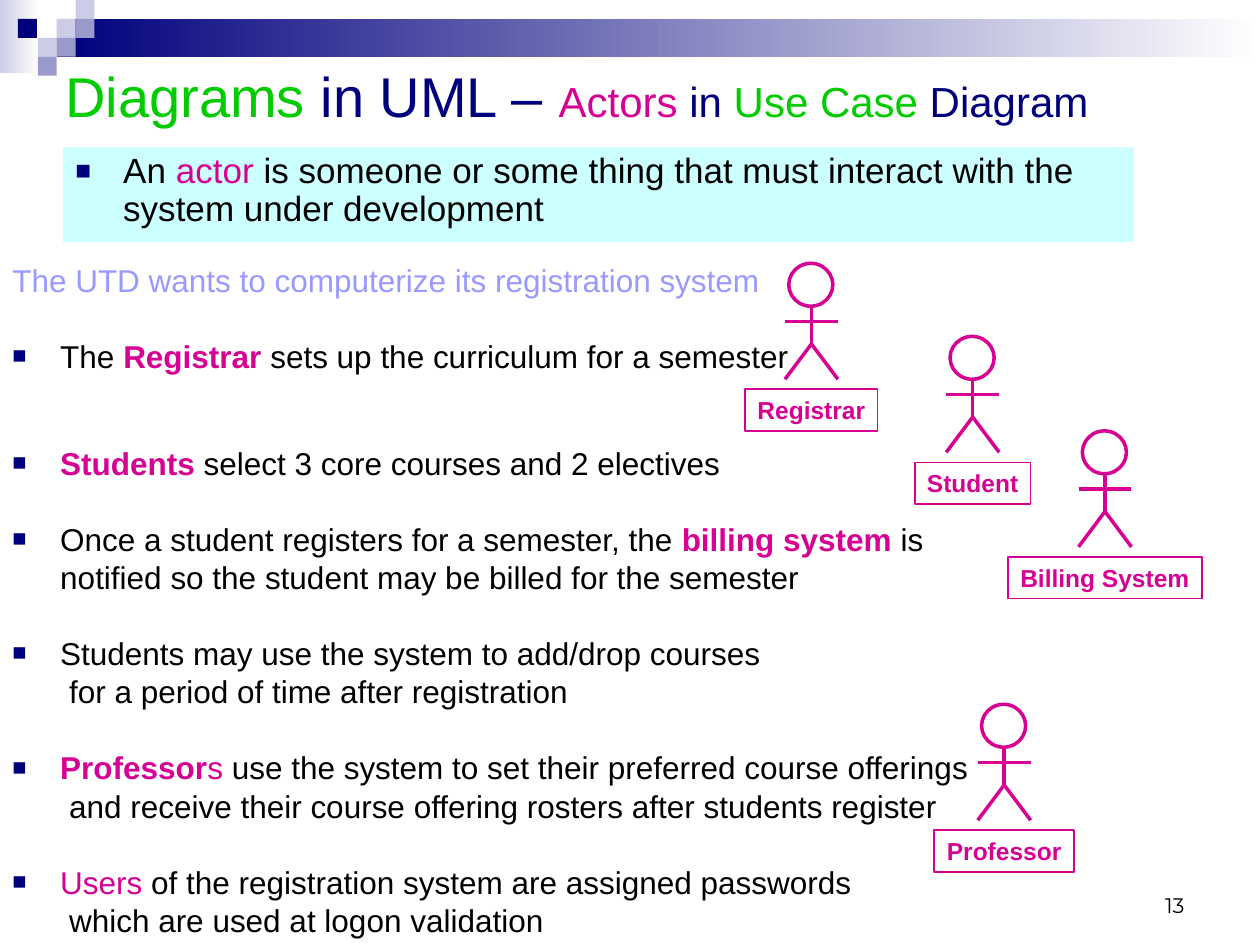
from lxml.etree import SubElement
from pptx import Presentation
from pptx.dml.color import RGBColor
from pptx.enum.shapes import MSO_CONNECTOR as Connector, MSO_SHAPE as Shape
from pptx.enum.text import MSO_ANCHOR as Anchor, PP_ALIGN as Align
from pptx.oxml.ns import qn
from pptx.util import Inches, Pt

COLORS = {
    "navy": "00007D", "lavender": "CCCCE6", "slate": "9999CC",
    "white": "FFFFFF", "black": "000000", "green": "00CC00",
    "magenta": "D60093", "cyan": "CCFFFF", "violet": "9999FF",
}
STRONG = {"color": "magenta", "bold": True}
PINK = {"color": "magenta"}
GREEN = {"color": "green"}
NAVY = {"color": "navy"}
TILE = 0.15
HANG, SPACED_HANG = 0.38, 0.45
LINE_GAP, BLOCK_GAP, WIDE_GAP = 4.5, 26.25, 43.5

STORY = [
    (0, 0, False, [("The UTD wants to computerize its registration system", {"color": "violet"})]),
    (BLOCK_GAP, HANG, True, [("The ", {}), ("Registrar", STRONG),
                             (" sets up the curriculum for a semester", {})]),
    (WIDE_GAP, HANG, True, [("Students", STRONG), (" select 3 core courses and 2 electives", {})]),
    (BLOCK_GAP, HANG, True, [("Once a student registers for a semester, the ", {}),
                             ("billing system", STRONG), (" is", {})]),
    (LINE_GAP, HANG, False, [("notified so the student may be billed for the semester", {})]),
    (BLOCK_GAP, HANG, True, [("Students may use the system to add/drop courses", {})]),
    (LINE_GAP, SPACED_HANG, False, [("for a period of time after registration", {})]),
    (BLOCK_GAP, HANG, True, [("Professor", STRONG), ("s", PINK),
                             (" use the system to set their preferred course offerings", {})]),
    (LINE_GAP, SPACED_HANG, False,
     [("and receive their course offering rosters after students register", {})]),
    (BLOCK_GAP, HANG, True, [("Users", PINK),
                             (" of the registration system are assigned passwords", {})]),
    (LINE_GAP, SPACED_HANG, False, [("which are used at logon validation", {})]),
]
ACTORS = [
    ("Student", 7.72, 2.67, 0.92),
    ("Registrar", 6.44, 2.09, 1.05),
    ("Professor", 7.97, 5.59, 1.11),
    ("Billing System", 8.77, 3.42, 1.54),
]


def rgb(name):
    return RGBColor.from_string(COLORS[name])


def apply(target, values):
    for name, value in values.items():
        setattr(target, name, value)


def inches(*values):
    return [Inches(value) for value in values]


def add_spans(para, spans, size, font="Arial"):
    for text, style in spans:
        span = para.add_run()
        span.text = text
        apply(span.font, {"name": font, "size": Pt(size), "bold": style.get("bold", False)})
        span.font.color.rgb = rgb(style.get("color", "black"))


def add_bullet(para):
    props = para._p.get_or_add_pPr()
    apply_indent(props, HANG, -HANG)
    color = SubElement(props, qn("a:buClr"))
    SubElement(color, qn("a:srgbClr"), val=COLORS["navy"])
    SubElement(props, qn("a:buSzPct"), val="75000")
    SubElement(props, qn("a:buFont"), typeface="Arial")
    SubElement(props, qn("a:buChar"), char="■")


def apply_indent(props, margin, indent):
    props.set("marL", str(Inches(margin)))
    props.set("indent", str(Inches(indent)))


def add_text(slide, box, anchor=Anchor.TOP):
    shape = slide.shapes.add_textbox(*inches(*box))
    apply(shape.text_frame, {"word_wrap": True, "vertical_anchor": anchor})
    return shape


def add_block(shapes, box, fill, fade=None):
    block = shapes.add_shape(Shape.RECTANGLE, *inches(*box))
    block.shadow.inherit = False
    block.line.fill.background()
    if fade:
        block.fill.gradient()
        block.fill.gradient_angle = 0
        for stop, name in zip(block.fill.gradient_stops, (fill, fade)):
            stop.color.rgb = rgb(name)
    else:
        block.fill.solid()
        block.fill.fore_color.rgb = rgb(fill)


def add_banner(slide, box):
    left, top, width, height = box
    shapes = slide.shapes.add_group_shape().shapes
    start = left + 3 * TILE
    add_block(shapes, (left, top, 0.31, 0.58), "lavender", "white")
    add_block(shapes, (start, top + TILE, width - 3 * TILE, height), "navy", "white")
    tiles = [(3, 1, "lavender"), (4, 0, "lavender"), (4, 1, "slate"), (2, 2, "lavender"),
             (0.95, 1, "navy"), (3, 2, "slate"), (2, 3, "slate")]
    for column, row, fill in tiles:
        add_block(shapes, (left + column * TILE, top + row * TILE, TILE, TILE), fill)


def add_title(slide, box):
    para = add_text(slide, box, Anchor.MIDDLE).text_frame.paragraphs[0]
    add_spans(para, [("Diagrams", GREEN), (" in UML – ", NAVY)], 32)
    add_spans(para, [("Actors", PINK), (" in ", NAVY), ("Use Case", GREEN), (" Diagram", NAVY)], 24)


def add_definition(slide, box):
    panel = add_text(slide, box)
    panel.fill.solid()
    panel.fill.fore_color.rgb = rgb("cyan")
    para = panel.text_frame.paragraphs[0]
    add_bullet(para)
    para.line_spacing = 0.9
    add_spans(para, [("An ", {}), ("actor", PINK),
                     (" is someone or some thing that must interact with the system under development", {})], 20)


def add_story(slide, box):
    frame = add_text(slide, box).text_frame
    for index, (gap, margin, bulleted, spans) in enumerate(STORY):
        para = frame.add_paragraph() if index else frame.paragraphs[0]
        if bulleted:
            add_bullet(para)
        else:
            apply_indent(para._p.get_or_add_pPr(), margin, 0)
        apply(para, {"line_spacing": 0.8, "space_before": Pt(gap)})
        add_spans(para, spans, 18)


def add_outline(shapes, kind, box, weight):
    shape = shapes.add_shape(kind, *inches(*box))
    shape.shadow.inherit = False
    shape.fill.background()
    shape.line.color.rgb = rgb("magenta")
    shape.line.width = Pt(weight)
    return shape


def add_actor(slide, name, center, top, label_width):
    shapes = slide.shapes.add_group_shape().shapes
    add_outline(shapes, Shape.OVAL, (center - 0.18, top, 0.35, 0.34), 2)
    reach, neck, arms, hip, feet = 0.21, top + 0.35, top + 0.46, top + 0.64, top + 0.92
    limbs = [
        (center, hip, center - reach, feet),
        (center, hip, center + reach, feet),
        (center, neck, center, hip),
        (center - reach, arms, center + reach, arms),
    ]
    for ends in limbs:
        limb = shapes.add_connector(Connector.STRAIGHT, *inches(*ends))
        limb.line.color.rgb = rgb("magenta")
        limb.line.width = Pt(2)
        SubElement(limb._element.spPr, qn("a:effectLst"))
    label_box = (center - label_width / 2, top + 1, label_width, 0.33)
    frame = add_outline(slide.shapes, Shape.RECTANGLE, label_box, 1).text_frame
    apply(frame, {"word_wrap": False, "vertical_anchor": Anchor.MIDDLE})
    para = frame.paragraphs[0]
    para.alignment = Align.CENTER
    add_spans(para, [(name, STRONG)], 14)


def add_page_number(slide, box):
    para = add_text(slide, box, Anchor.BOTTOM).text_frame.paragraphs[0]
    para.alignment = Align.RIGHT
    add_spans(para, [("13", {})], 12, "Montserrat")


def main():
    deck = Presentation()
    apply(deck, {"slide_width": Inches(10), "slide_height": Inches(7.5)})
    page = deck.slides.add_slide(deck.slide_layouts[6])
    add_banner(page, (0, 0, 10, 0.3))
    add_page_number(page, (7.17, 6.83, 2.33, 0.5))
    add_title(page, (0.42, 0.42, 8.48, 0.67))
    for actor in ACTORS:
        add_actor(page, *actor)
    add_definition(page, (0.5, 1.17, 8.5, 0.75))
    add_story(page, (0, 2.08, 9.5, 5.17))
    deck.save("out.pptx")


if __name__ == "__main__":
    main()
